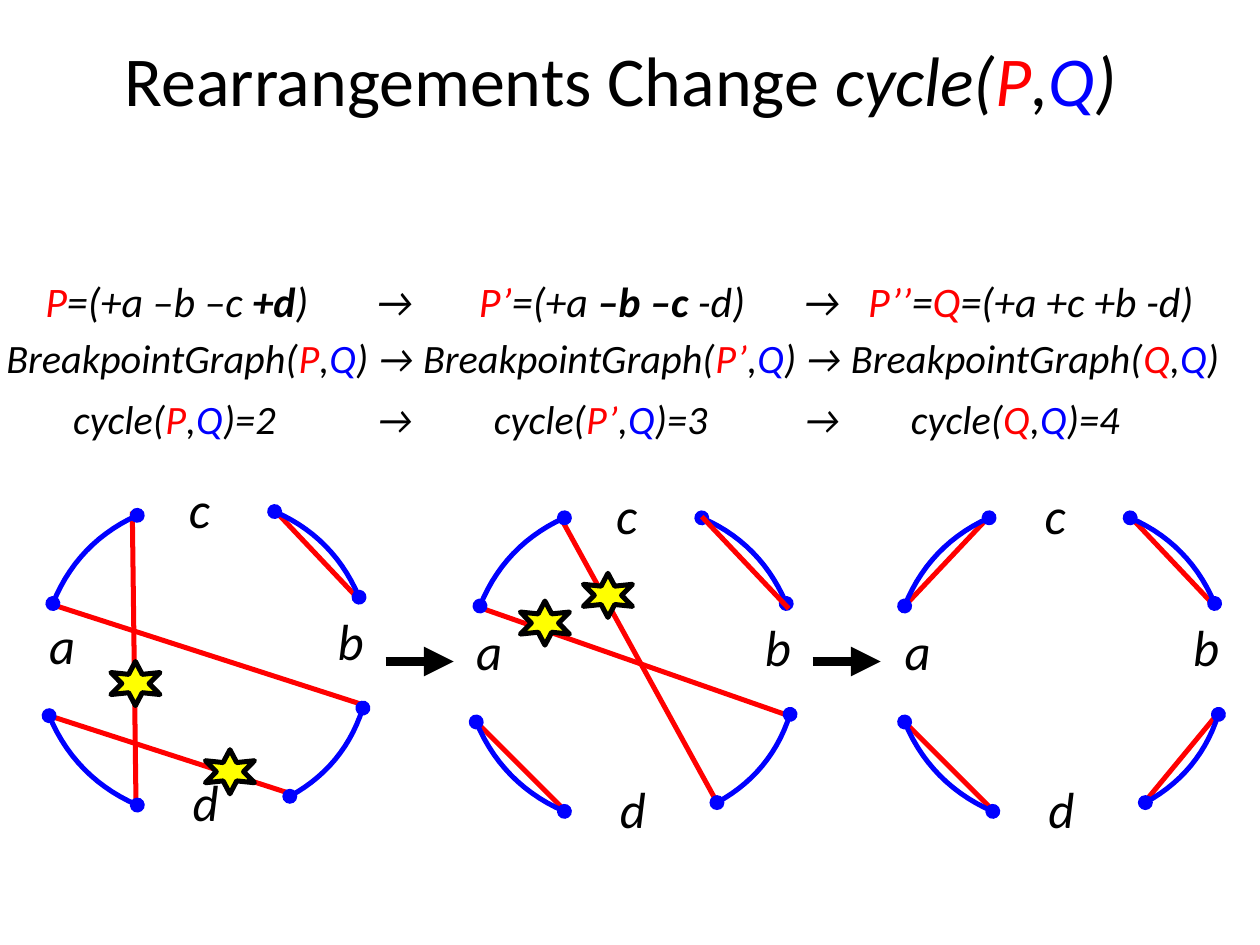
from dataclasses import dataclass
from math import hypot

from lxml.etree import SubElement
from pptx import Presentation
from pptx.dml.color import RGBColor
from pptx.enum.shapes import MSO_CONNECTOR, MSO_SHAPE
from pptx.enum.text import MSO_ANCHOR, PP_ALIGN
from pptx.oxml.ns import qn
from pptx.util import Inches, Pt


@dataclass(frozen=True)
class Theme:
    font: str = "Calibri"
    ink: str = "000000"
    red: str = "FF0000"
    blue: str = "0000FF"
    yellow: str = "FFFF00"
    title_size: int = 40
    genome_size: int = 24
    formula_size: int = 23
    label_size: int = 29
    edge_width: float = 2.85
    arrow_width: float = 5.67


@dataclass(frozen=True)
class Run:
    text: str
    color: str = Theme.ink
    bold: bool = False
    italic: bool = True


@dataclass(frozen=True)
class Panel:
    """One breakpoint graph: its corner, red edges, and the offset of arc a."""
    left: float
    top: float
    edges: tuple
    front_edges: tuple = ()
    a_offset: tuple = (0, 0)


THEME = Theme()
STEPS = 14
BULGE = 0.1

# Positions inside a panel, in inches from its corner; arcs run anticlockwise.
ARC_A = ((0.7, 0), (0.03, 0.7))
OTHER_ARCS = (
    ((2.46, 0.68), (1.79, 0)),
    ((0, 1.62), (0.7, 2.33)),
    ((1.91, 2.26), (2.49, 1.56)),
)
LABELS = {"a": (0, 0.97), "c": (1.11, -0.11), "b": (2.29, 0.94), "d": (1.14, 2.22)}
EDGE_B = ((1.79, -0.01), (2.48, 0.72))
EDGE_LOWER_LEFT = ((0.69, 2.31), (0, 1.62))

PANELS = (
    Panel(0.39, 4.06, (((0.69, 2.36), (0.66, 0)), ((0, 1.62), (1.95, 2.25)),
                       ((0.03, 0.74), (2.48, 1.53)), EDGE_B), a_offset=(0, 0.03)),
    Panel(3.78, 4.11, (EDGE_LOWER_LEFT, ((0.67, 0), (1.89, 2.22)),
                       ((0.05, 0.72), (2.48, 1.57))), front_edges=(EDGE_B,)),
    Panel(7.18, 4.11, (((2.48, 1.56), (1.91, 2.25)), EDGE_LOWER_LEFT, EDGE_B,
                       ((0, 0.7), (0.66, 0))), a_offset=(-0.03, 0)),
)
ARROW_LEFTS = (3.06, 6.45)
STARS = ((0.88, 5.25), (1.63, 5.95), (4.63, 4.55), (4.13, 4.77))


def red(text):
    return Run(text, THEME.red)


def blue(text):
    return Run(text, THEME.blue)


def pair(before, genome, after):
    """Runs for a function of a red genome and the blue Q."""
    return [Run(before + "("), red(genome), Run(","), blue("Q"), Run(")" + after)]


def shifted(points, offset):
    return [(x + offset[0], y + offset[1]) for x, y in points]


def set_line(shape, color, width, head=None, tail=None):
    shape.line.color.rgb = RGBColor.from_string(color)
    shape.line.width = Pt(width)
    line = shape.line._get_or_add_ln()
    for tag, kind in (("a:headEnd", head), ("a:tailEnd", tail)):
        if kind:
            SubElement(line, qn(tag)).set("type", kind)


def add_text(slide, box, paragraphs, *, size, align=PP_ALIGN.LEFT,
             anchor=MSO_ANCHOR.TOP, line_spacing=None):
    """Each paragraph is (runs, options); options: size, before, tabs."""
    frame = slide.shapes.add_textbox(*map(Inches, box)).text_frame
    frame.word_wrap = True
    frame.vertical_anchor = anchor
    frame.margin_left = frame.margin_right = frame.margin_top = frame.margin_bottom = 0
    for index, (runs, options) in enumerate(paragraphs):
        paragraph = frame.add_paragraph() if index else frame.paragraphs[0]
        paragraph.alignment = align
        if line_spacing:
            paragraph.line_spacing = line_spacing
        if "before" in options:
            paragraph.space_before = Pt(options["before"])
        if "tabs" in options:
            tab_list = SubElement(paragraph._p.get_or_add_pPr(), qn("a:tabLst"))
            for position in options["tabs"]:
                SubElement(tab_list, qn("a:tab"), pos=str(Inches(position)), algn="l")
        for piece in runs:
            run = paragraph.add_run()
            run.text = piece.text
            run.font.name = THEME.font
            run.font.size = Pt(options.get("size", size))
            run.font.bold = piece.bold
            run.font.italic = piece.italic
            run.font.color.rgb = RGBColor.from_string(piece.color)


def add_line(slide, points, color, width, tail=None):
    (x1, y1), (x2, y2) = points
    connector = slide.shapes.add_connector(
        MSO_CONNECTOR.STRAIGHT, *map(Inches, (x1, y1, x2, y2)))
    set_line(connector, color, width, tail=tail)
    SubElement(connector._element.spPr, qn("a:effectLst"))


def add_arc(slide, ends):
    """An arc bulging to the outside of the circle, with a dot at each end."""
    (x1, y1), (x2, y2) = ends
    dx, dy = x2 - x1, y2 - y1
    points = []
    for step in range(STEPS + 1):
        share = step / STEPS
        rise = 4 * BULGE * share * (1 - share)
        points.append((Inches(x1 + dx * share - dy * rise),
                       Inches(y1 + dy * share + dx * rise)))
    builder = slide.shapes.build_freeform(*points[0])
    builder.add_line_segments(points[1:], close=False)
    arc = builder.convert_to_shape()
    arc.fill.background()
    arc.shadow.inherit = False
    set_line(arc, THEME.blue, THEME.edge_width, head="oval", tail="oval")


def add_star(slide, left, top):
    star = slide.shapes.add_shape(
        MSO_SHAPE.STAR_6_POINT, *map(Inches, (left, top, 0.39, 0.35)))
    star.adjustments[0] = 0.24
    star.fill.solid()
    star.fill.fore_color.rgb = RGBColor.from_string(THEME.yellow)
    star.shadow.inherit = False
    set_line(star, THEME.ink, THEME.edge_width)


def add_panel(slide, panel):
    corner = (panel.left, panel.top)
    for edge in panel.edges:
        add_line(slide, shifted(edge, corner), THEME.red, THEME.edge_width)
    for arc in (shifted(ARC_A, panel.a_offset), *OTHER_ARCS):
        add_arc(slide, shifted(arc, corner))
    for edge in panel.front_edges:
        add_line(slide, shifted(edge, corner), THEME.red, THEME.edge_width)
    for name, place in LABELS.items():
        left, top = shifted([place], corner)[0]
        add_text(slide, (left, top, 0.34, 0.5), [([Run(name)], {})],
                 size=THEME.label_size, line_spacing=0.63)


def add_title(slide):
    runs = [Run("Rearrangements Change ", italic=False), *pair("cycle", "P", "")]
    add_text(slide, (0.09, 0, 9.67, 1.25), [(runs, {})], size=THEME.title_size,
             align=PP_ALIGN.CENTER, anchor=MSO_ANCHOR.MIDDLE)


def add_formulas(slide):
    genomes = [Run("\t"), red("P"), Run("=(+a –b –c"), Run(" +d", bold=True),
               Run(")\t→\t"), red("P’"), Run("=(+a "), Run("–b –c", bold=True),
               Run(" -d)\t→\t"), red("P’’"), Run("="), red("Q"), Run("=(+a +c +b -d)")]
    graphs = [*pair("BreakpointGraph", "P", " → "),
              *pair("BreakpointGraph", "P’", " → "),
              *pair("BreakpointGraph", "Q", "")]
    cycles = [*pair("\tcycle", "P", "=2\t→\t"), *pair("cycle", "P’", "=3\t→\t"),
              *pair("cycle", "Q", "=4")]
    paragraphs = [
        (genomes, {"size": THEME.genome_size, "tabs": (0.31, 2.93, 3.75, 6.32, 6.84)}),
        (graphs, {"before": 4}),
        (cycles, {"before": 7, "tabs": (0.53, 2.94, 3.87, 6.33, 7.18)}),
    ]
    add_text(slide, (0.05, 2.19, 9.9, 1.4), paragraphs, size=THEME.formula_size)


def main():
    presentation = Presentation()
    presentation.slide_width, presentation.slide_height = Inches(10), Inches(7.5)
    slide = presentation.slides.add_slide(presentation.slide_layouts[6])
    add_title(slide)
    for panel in PANELS:
        add_panel(slide, panel)
    for left in ARROW_LEFTS:
        add_line(slide, ((left, 5.25), (left + 0.54, 5.25)), THEME.ink,
                 THEME.arrow_width, tail="triangle")
    add_formulas(slide)
    for left, top in STARS:
        add_star(slide, left, top)
    presentation.save("out.pptx")


if __name__ == "__main__":
    main()
